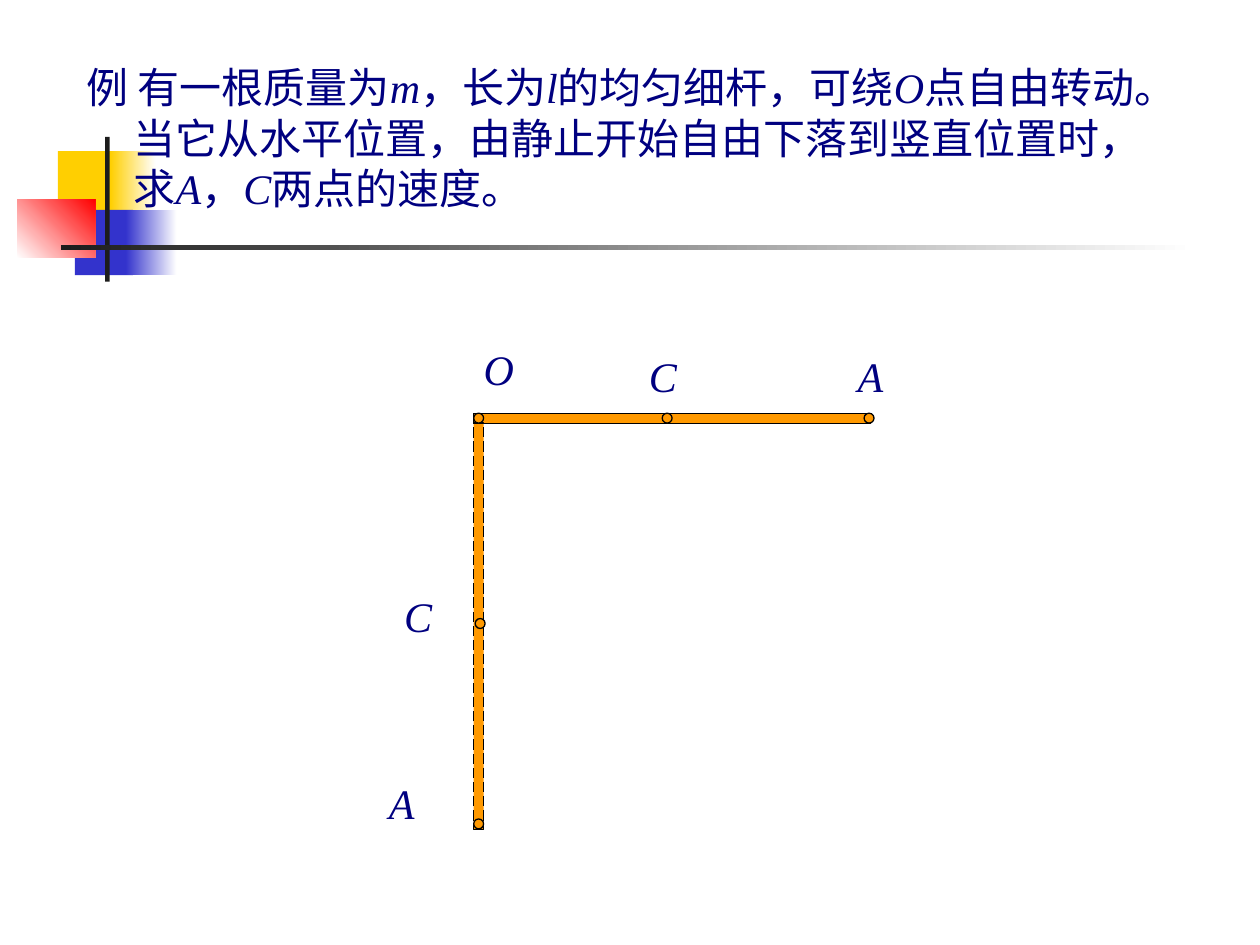
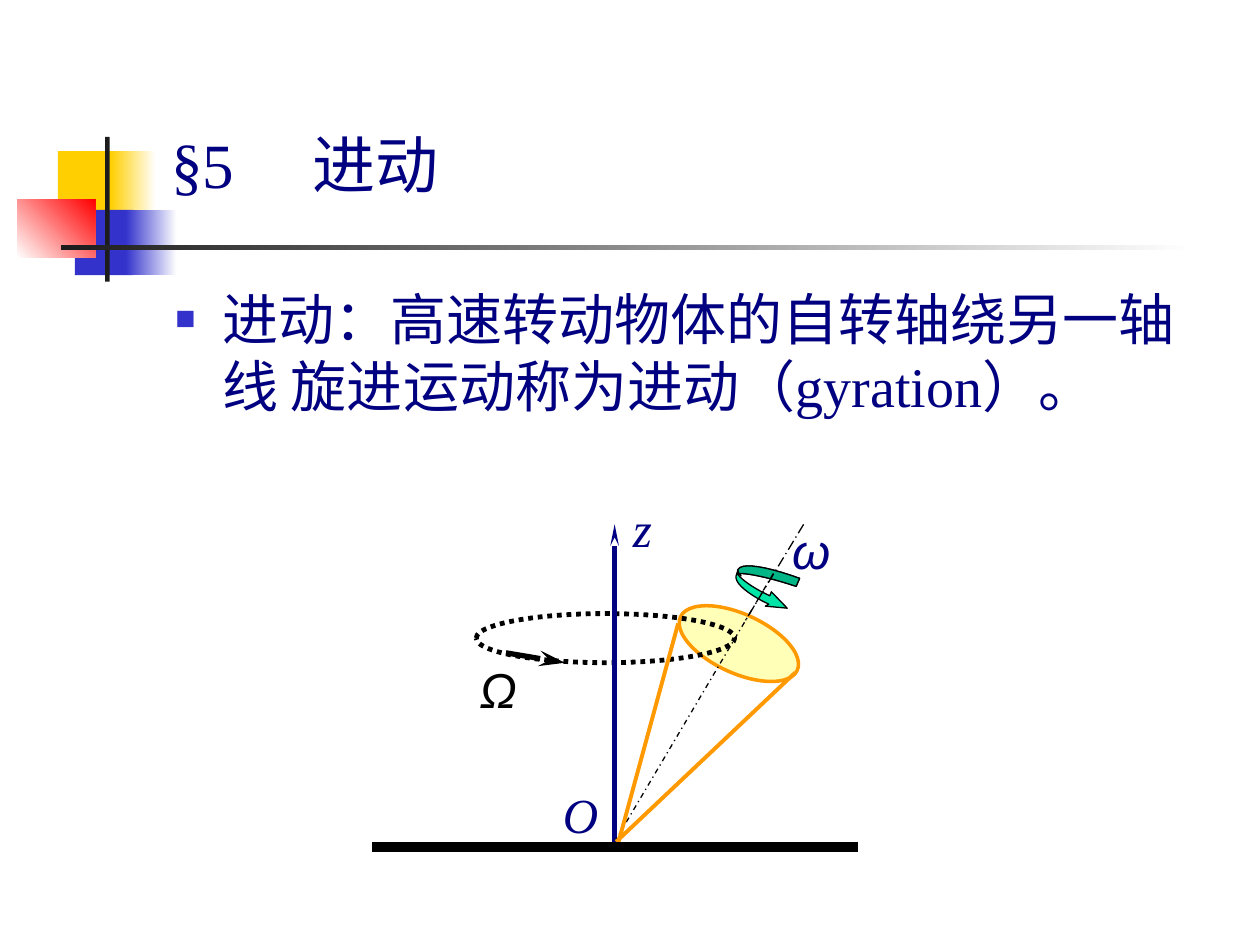
"""Build two physics slides: a falling rod and the precession of a top."""
import lxml.etree
import pptx
import pptx.dml.color
import pptx.enum.dml
import pptx.enum.shapes
import pptx.enum.text
import pptx.oxml.ns
import pptx.util

Cm, Pt = pptx.util.Cm, pptx.util.Pt
qn, sub = pptx.oxml.ns.qn, lxml.etree.SubElement
Kind = pptx.enum.shapes.MSO_SHAPE
Dash = pptx.enum.dml.MSO_LINE
Fit = pptx.enum.text.MSO_AUTO_SIZE
NAVY, BLACK, ORANGE, BLUE, GOLD = "000080", "000000", "FF9900", "3333CC", "FFCF01"
DARK, WHITE = "1C1C1C", "FFFFFF"
ROMAN, ARIAL = "Times New Roman", "Arial"


def tint(fill, code, last=None, angle=0):
    """Fill with one colour, or with a gradient between two."""
    rgb = pptx.dml.color.RGBColor.from_string
    if last:
        fill.gradient()
        fill.gradient_angle = angle
        for stop, tone in zip(fill.gradient_stops, (code, last)):
            stop.color.rgb = rgb(tone)
    else:
        fill.solid()
        fill.fore_color.rgb = rgb(code)


def write(frame, text, size, face=ROMAN, code=NAVY):
    """Write one paragraph in which asterisks enclose italics."""
    para = frame.paragraphs[0]
    for i, part in enumerate(text.split("*")):
        if part:
            run = para.add_run()
            run.text = part
            look = {"size": Pt(size), "name": face, "italic": i % 2 == 1, "bold": False}
            for key, value in look.items():
                setattr(run.font, key, value)
            tint(run.font.fill, code)
    return para


deck = pptx.Presentation()
deck.slide_width, deck.slide_height = Cm(25.4), Cm(19.05)
rod, top = [deck.slides.add_slide(deck.slide_layouts[1]) for _ in range(2)]

bands = [
    ((1.17, 3.05, 1.22, 1.32), (GOLD,)),
    ((2.23, 3.05, 0.91, 1.32), (GOLD, WHITE)),
    ((1.51, 4.23, 1.17, 1.32), (BLUE,)),
    ((2.54, 4.23, 1.02, 1.32), (BLUE, WHITE)),
    ((0.35, 4.02, 1.57, 1.18), (WHITE, "FF0000", 45)),
    ((2.12, 2.76, 0.09, 2.92), (DARK,)),
    ((1.23, 4.94, 22.86, 0.1), (DARK, WHITE)),
]
tree = deck.slide_master.shapes.element
for i, (box, tones) in enumerate(bands):
    band = rod.shapes.add_shape(Kind.RECTANGLE, *map(Cm, box))
    band.shadow.inherit = False
    band.line.fill.background()
    tint(band.fill, *tones)
    band.element.nvSpPr.cNvPr.id = 100 + i
    tree.insert(2 + i, band.element)

blank = rod.shapes.title.element
blank.getparent().remove(blank)

title = top.shapes.title
para = write(title.text_frame, "§5\t进动", 36)
para.alignment = pptx.enum.text.PP_ALIGN.LEFT
title.text_frame.vertical_anchor = pptx.enum.text.MSO_ANCHOR.MIDDLE
title.text_frame.auto_size = Fit.NONE
tabs = sub(para._p.get_or_add_pPr(), qn("a:tabLst"))
sub(tabs, qn("a:tab"), pos=str(Cm(2.84)), algn="l")

task = ("例 有一根质量为*m*，长为*l*的均匀细杆，可绕*O*点自由转动。"
        "当它从水平位置，由静止开始自由下落到竖直位置时，求*A*，*C*两点的速度。")
fact = "进动：高速转动物体的自转轴绕另一轴线 旋进运动称为进动（gyration）。"
bodies = [
    (rod, task, 24, 6, (1.49, 1.12, 22.3, 6.81)),
    (top, fact, 32, 8, (3.28, 5.61, 21.59, 11.43)),
]
places = [(title, (3.2, 1.93, 13.72, 2.74))]
for slide, text, size, gap, box in bodies:
    body = slide.placeholders[1]
    places.append((body, box))
    body.text_frame.auto_size = Fit.NONE
    para = write(body.text_frame, text, size)
    para.space_before = Pt(gap)
    props = para._p.get_or_add_pPr()
    props.set("marL", str(Cm(0.95)))
    props.set("indent", str(-Cm(0.95)))
    if slide is rod:
        sub(props, qn("a:buNone"))
    else:
        sub(sub(props, qn("a:buClr")), qn("a:srgbClr"), val=BLUE)
        sub(props, qn("a:buSzPct"), val="60000")
        sub(props, qn("a:buChar"), char="■")
for holder, box in places:
    for side, value in zip(("left", "top", "width", "height"), box):
        setattr(holder, side, Cm(value))

dots = [(9.55, 8.33), (13.35, 8.33), (17.42, 8.33), (9.58, 12.47), (9.55, 16.51)]
forms = [
    (rod, Kind.RECTANGLE, (9.55, 8.33, 8, 0.21), ORANGE, BLACK, 0.75, None),
    (rod, Kind.RECTANGLE, (9.55, 8.53, 0.2, 8.2), ORANGE, BLACK, 0.75, Dash.LONG_DASH),
    *[(rod, Kind.OVAL, (*dot, 0.2, 0.2), ORANGE, BLACK, 0.75, None) for dot in dots],
    (top, Kind.OVAL, (13.6, 12.38, 2.59, 1.19), "FFFF00", ORANGE, 2, None),
    (top, Kind.OVAL, (9.6, 12.37, 5.21, 0.99), None, BLACK, 2.75, Dash.ROUND_DOT),
]
for slide, kind, box, fill, edge, width, dash in forms:
    form = slide.shapes.add_shape(kind, *map(Cm, box))
    form.shadow.inherit = False
    if fill:
        tint(form.fill, fill)
    else:
        form.fill.background()
    tint(form.line.fill, edge)
    form.line.width = Pt(width)
    form.line.dash_style = dash
    if fill == "FFFF00":
        form.rotation = 24.6
        sub(form.element.spPr.find(".//" + qn("a:srgbClr")), qn("a:alpha"), val="28000")

lines = [
    ((12.39, 16.97, 12.39, 10.57), NAVY, 2.5, None, "sm"),
    ((15.59, 11.56, 12.39, 16.97), BLACK, 0.75, Dash.DASH_DOT, None),
    ((13.67, 12.57, 12.47, 16.97), ORANGE, 2.25, None, None),
    ((16.03, 13.56, 12.42, 16.97), ORANGE, 2.25, None, None),
    ((10.2, 13.16, 11.39, 13.36), BLACK, 3, None, "med"),
    ((7.5, 17.08, 17.3, 17.08), BLACK, 6, None, None),
    ((16.2, 10.57, 14.99, 12.57), BLACK, 0.75, Dash.LONG_DASH_DOT, None),
]

start = (16.12, 11.66)
back = [(15.49, 11.43), (14.96, 11.33), (14.88, 11.48)]
front = [(15.11, 11.56), (15.54, 11.65), (16.05, 11.82)]
arrow = [
    back, [(14.84, 11.61)], [(14.8, 11.75), (15.09, 11.99), (15.5, 12.18)],
    [(15.43, 12.22)], [(15.87, 12.26)], [(15.55, 11.93)], [(15.52, 12.01)],
    [(15.19, 11.86), (14.94, 11.68), (14.86, 11.56)], [(14.91, 11.56)], front,
]
shade = [back, [(14.88, 11.51), (14.88, 11.56), (14.94, 11.61)], [(14.91, 11.56)], front]
for parts, code in ((arrow, "00E4A8"), (shade, "00B686")):
    spots = [start]
    for part in parts:
        if len(part) == 1:
            spots += part
            continue
        ends = [spots[-1], *part]
        for t in (n / 10 for n in range(1, 11)):
            mix = ((1 - t) ** 3, 3 * t * (1 - t) ** 2, 3 * t * t * (1 - t), t ** 3)
            spots.append(tuple(sum(m * e[k] for m, e in zip(mix, ends)) for k in (0, 1)))
    pen = top.shapes.build_freeform(*map(Cm, start))
    pen.add_line_segments([(Cm(x), Cm(y)) for x, y in spots[1:]])
    spin = pen.convert_to_shape()
    spin.shadow.inherit = False
    tint(spin.fill, code)
    tint(spin.line.fill, BLACK)
    spin.line.width = Pt(0.75)

for ends, code, width, dash, head in lines:
    line = top.shapes.add_connector(pptx.enum.shapes.MSO_CONNECTOR.STRAIGHT, *map(Cm, ends))
    tint(line.line.fill, code)
    line.line.width = Pt(width)
    line.line.dash_style = dash
    if head:
        sub(line.get_or_add_ln(), qn("a:tailEnd"), type="stealth", w=head, len="lg")
    sub(line.element.spPr, qn("a:effectLst"))

labels = [
    (rod, "O", 9.5, 6.81, 1.12, ROMAN, NAVY),
    (rod, "C", 12.83, 6.95, 1.07, ROMAN, NAVY),
    (rod, "A", 17.04, 6.95, 1.02, ROMAN, NAVY),
    (rod, "C", 7.9, 11.77, 1.07, ROMAN, NAVY),
    (rod, "A", 7.59, 15.54, 1.02, ROMAN, NAVY),
    (top, "ω", 15.72, 10.36, 1.27, ARIAL, NAVY),
    (top, "z", 12.51, 9.93, 0.89, ROMAN, NAVY),
    (top, "Ω", 9.42, 13.18, 1.24, ARIAL, BLACK),
    (top, "O", 11.1, 15.7, 1.22, ROMAN, NAVY),
]
for slide, text, x, y, width, face, code in labels:
    size, height = (24, 1.27) if slide is rod else (28, 1.45)
    label = slide.shapes.add_textbox(Cm(x), Cm(y), Cm(width), Cm(height))
    label.text_frame.word_wrap = False
    label.text_frame.auto_size = Fit.SHAPE_TO_FIT_TEXT
    write(label.text_frame, f"*{text}*", size, face, code)

deck.save("out.pptx")
